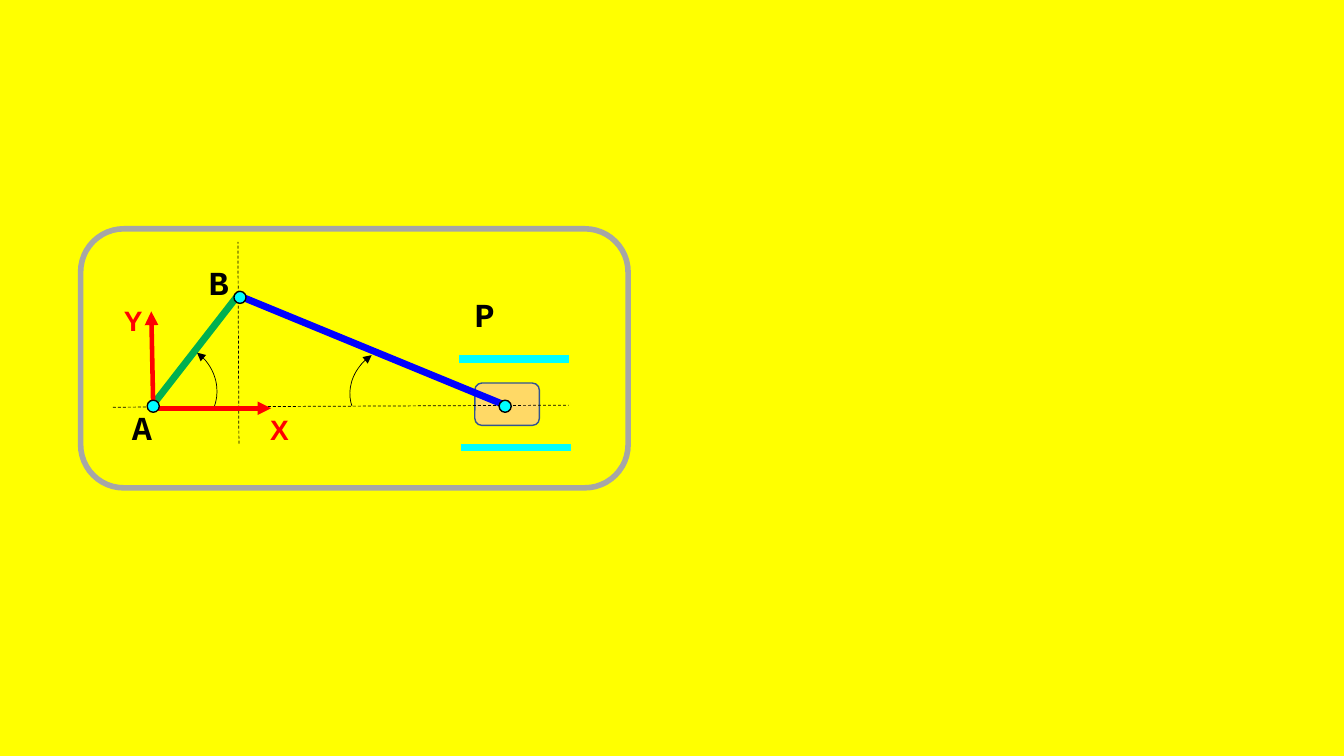
from dataclasses import dataclass

from lxml import etree
from pptx import Presentation
from pptx.dml.color import RGBColor
from pptx.enum.dml import MSO_LINE
from pptx.enum.shapes import MSO_CONNECTOR, MSO_SHAPE
from pptx.enum.text import MSO_AUTO_SIZE
from pptx.oxml.ns import qn
from pptx.util import Inches, Pt

ARC, OVAL, ROUND_RECT = MSO_SHAPE.ARC, MSO_SHAPE.OVAL, MSO_SHAPE.ROUNDED_RECTANGLE
STRAIGHT = MSO_CONNECTOR.STRAIGHT
DASH = MSO_LINE.DASH
FIT_SHAPE = MSO_AUTO_SIZE.SHAPE_TO_FIT_TEXT


@dataclass(frozen=True)
class Theme:
    background: str = "FFFF00"
    ink: str = "000000"
    axis: str = "FF0000"
    crank: str = "00B050"
    rod: str = "0000FF"
    slider: str = "FFD966"
    slider_edge: str = "325491"
    frame: str = "A6A6A6"
    cyan: str = "00FFFF"
    point_font: str = "Courier New"
    point_size: int = 24
    axis_font: str = "Arial"
    axis_size: int = 20
    hairline: float = 0.5
    outline: float = 1
    frame_width: float = 4
    axis_width: float = 3.25
    link_width: float = 5
    guide_width: float = 5.25


THEME = Theme()
JOINT_SIZE = 0.12


def rgb(value):
    return RGBColor.from_string(value)


def style_line(line, color, width):
    line.color.rgb = rgb(color)
    line.width = Pt(width)


def add_arrowhead(line):
    """Put a triangle at the far end of a line whose colour is already set."""
    ln = line.fill._xPr
    etree.SubElement(ln, qn("a:tailEnd"), type="triangle")


def add_line(shapes, start, end, color, width, dash=None, arrow=False):
    points = [Inches(v) for v in (*start, *end)]
    cxn = shapes.add_connector(STRAIGHT, *points)
    style_line(cxn.line, color, width)
    if dash:
        cxn.line.dash_style = dash
    if arrow:
        add_arrowhead(cxn.line)
    etree.SubElement(cxn._element.spPr, qn("a:effectLst"))
    return cxn


def add_outline(shapes, kind, box, color, width, fill=None):
    sp = shapes.add_shape(kind, *[Inches(v) for v in box])
    sp.shadow.inherit = False
    if fill:
        sp.fill.solid()
        sp.fill.fore_color.rgb = rgb(fill)
    else:
        sp.fill.background()
    style_line(sp.line, color, width)
    return sp


def add_joint(shapes, x, y):
    box = (x - JOINT_SIZE / 2, y - JOINT_SIZE / 2, JOINT_SIZE, JOINT_SIZE)
    return add_outline(shapes, OVAL, box, THEME.ink, THEME.outline, THEME.cyan)


def add_angle_arc(shapes, box, rotation, mirrored=False):
    sp = add_outline(shapes, ARC, box, THEME.ink, THEME.hairline)
    sp.adjustments[0] = 164.85
    sp.adjustments[1] = 209.03
    sp.rotation = rotation
    if mirrored:
        sp._element.spPr.find(qn("a:xfrm")).set("flipH", "1")
    add_arrowhead(sp.line)


def add_label(shapes, text, box, font, size, color):
    tf = shapes.add_textbox(*[Inches(v) for v in box]).text_frame
    tf.word_wrap = False
    tf.auto_size = FIT_SHAPE
    p = tf.paragraphs[0]
    p.text = text
    p.font.name = font
    p.font.size = Pt(size)
    p.font.bold = True
    p.font.color.rgb = rgb(color)


def main():
    prs = Presentation()
    prs.slide_width, prs.slide_height = Inches(13.33), Inches(7.5)
    s = prs.slides.add_slide(prs.slide_layouts[6])
    s.background.fill.solid()
    s.background.fill.fore_color.rgb = rgb(THEME.background)
    shapes = s.shapes

    # Slider, crank and connecting rod
    add_outline(shapes, ROUND_RECT, (4.71, 3.8, 0.64, 0.42),
                THEME.slider_edge, THEME.outline, THEME.slider)
    add_line(shapes, (1.49, 4.05), (2.36, 2.93), THEME.crank, THEME.link_width)
    add_line(shapes, (2.36, 2.93), (5.01, 4.02), THEME.rod, THEME.link_width)

    # Dashed reference lines
    for start, end in [((1.12, 4.04), (5.64, 4.02)), ((2.37, 4.4), (2.36, 2.4))]:
        add_line(shapes, start, end, THEME.ink, THEME.hairline, dash=DASH)

    # Angles and point names
    add_angle_arc(shapes, (1.21, 3.39, 0.93, 0.96), 115.3, mirrored=True)
    for name, x, y in [("A", 1.21, 3.99), ("B", 1.97, 2.55), ("P", 4.61, 2.87)]:
        add_label(shapes, name, (x, y, 0.4, 0.5),
                  THEME.point_font, THEME.point_size, THEME.ink)
    add_angle_arc(shapes, (3.52, 3.38, 0.84, 0.96), 244.7)

    # Frame
    add_outline(shapes, ROUND_RECT, (0.8, 2.27, 5.43, 2.57),
                THEME.frame, THEME.frame_width)

    # Coordinate axes with their origin
    axes = shapes.add_group_shape().shapes
    for start, end in [((1.52, 4.05), (2.69, 4.05)), ((1.52, 4.04), (1.5, 3.09))]:
        add_line(axes, start, end, THEME.axis, THEME.axis_width, arrow=True)
    add_joint(axes, 1.52, 4.03)
    for name, x, y in [("X", 2.58, 4.04), ("Y", 1.13, 2.96)]:
        add_label(shapes, name, (x, y, 0.39, 0.44),
                  THEME.axis_font, THEME.axis_size, THEME.axis)

    # Joints of the connecting rod
    for x, y in [(2.38, 2.95), (5.01, 4.03)]:
        add_joint(shapes, x, y)

    # Slider guides
    for x, y in [(4.55, 3.56), (4.57, 4.44)]:
        add_line(shapes, (x, y), (x + 1.09, y), THEME.cyan, THEME.guide_width)

    prs.save("out.pptx")


if __name__ == "__main__":
    main()
